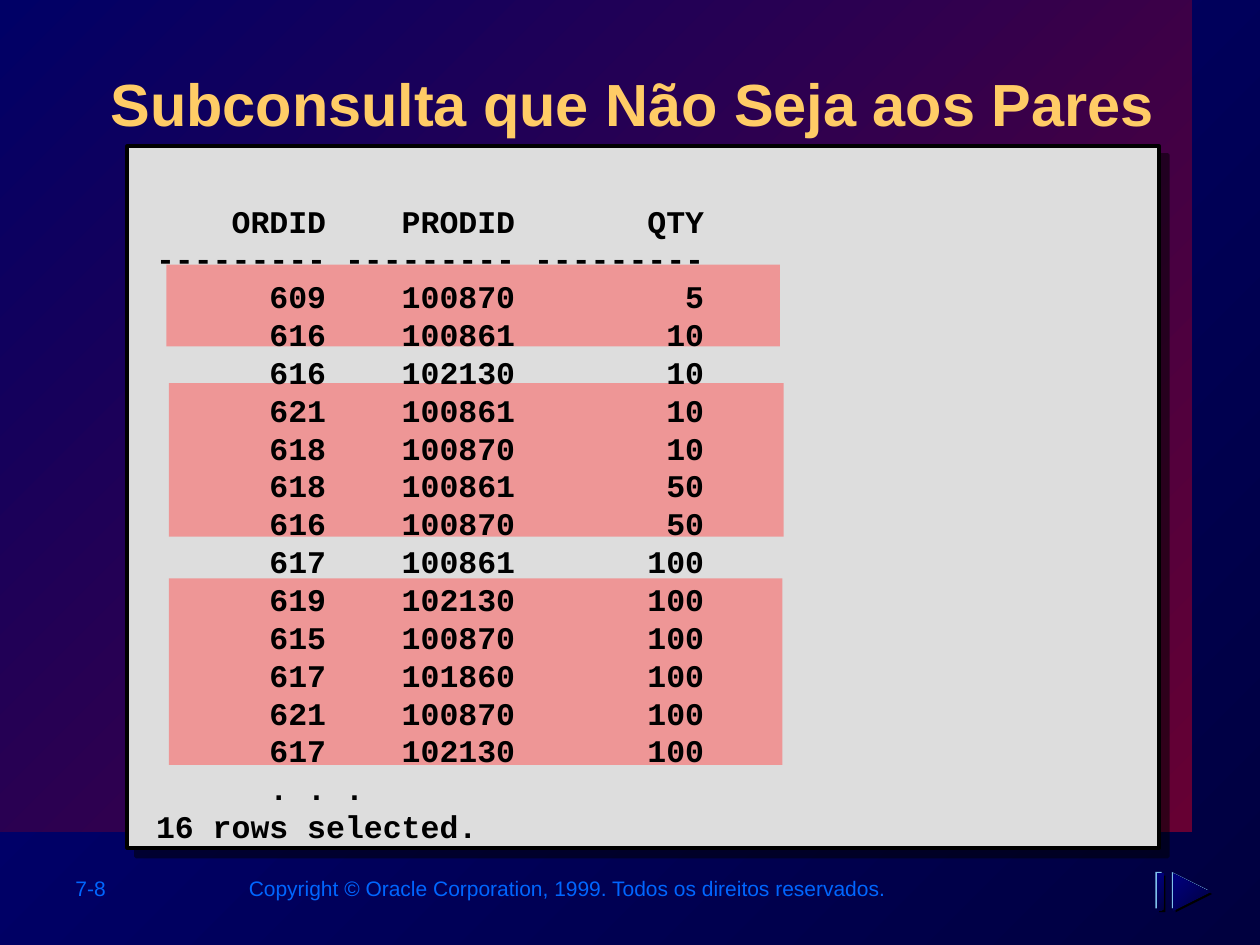
"""Build the slide on non-pairwise subqueries with python-pptx."""
from dataclasses import dataclass
from typing import NamedTuple

from lxml.etree import SubElement
from pptx import Presentation
from pptx.dml.color import RGBColor
from pptx.enum.shapes import MSO_SHAPE as Shape
from pptx.enum.text import MSO_ANCHOR as Anchor, PP_ALIGN as Align
from pptx.oxml.ns import qn
from pptx.util import Emu, Inches, Pt


class Gradient(NamedTuple):
    """Colours from the lower right to the upper left."""
    start: str
    end: str


class Box(NamedTuple):
    """Left, top, width and height in grid columns and rows."""
    col: float
    row: float
    cols: float
    rows: float


class Layer(NamedTuple):
    """One layer of the navigation icon: its grid offset and fill."""
    shift: float
    fill: str | Gradient


@dataclass(frozen=True)
class Theme:
    """Colours, fonts and type sizes of the slide."""
    night: Gradient = Gradient("00003F", "000080")
    wine: Gradient = Gradient("660033", "000066")
    panel: str = "DDDDDD"
    ink: str = "000000"
    title: str = "FFCC66"
    footer: str = "0066FF"
    mark: str = "FF5050"
    glint: str = "7FC1EB"
    sans: str = "Arial"
    mono: str = "Courier New"
    title_size: int = 34
    code_size: int = 18
    footer_size: int = 12
    leading: float = 21.64


THEME = Theme()
COLUMNS, ROWS = 100, 75
CELL = Inches(10) // COLUMNS
TABLE = [
    ("ORDID", "PRODID", "QTY"),
    ("-" * 9,) * 3,
    (609, 100870, 5), (616, 100861, 10), (616, 102130, 10),
    (621, 100861, 10), (618, 100870, 10), (618, 100861, 50),
    (616, 100870, 50), (617, 100861, 100), (619, 102130, 100),
    (615, 100870, 100), (617, 101860, 100), (621, 100870, 100),
    (617, 102130, 100),
]
MARKS = [Box(13.2, 21, 48.7, 6.5), Box(13.4, 30.4, 48.8, 12.2),
         Box(13.4, 45.9, 48.7, 14.8)]
ICON = [Layer(0.3, THEME.ink), Layer(0, THEME.glint), Layer(0.15, THEME.night)]


def cells(n: float) -> Emu:
    """Convert grid cells to a length."""
    return Emu(round(n * CELL))


def paint(fill, colour: str | Gradient) -> None:
    """Apply a solid colour or a diagonal gradient."""
    if isinstance(colour, Gradient):
        fill.gradient()
        fill.gradient_angle = 135
        for stop, value, at in zip(fill.gradient_stops, colour, (0, 1)):
            stop.color.rgb = RGBColor.from_string(value)
            stop.position = at
    else:
        fill.solid()
        fill.fore_color.rgb = RGBColor.from_string(colour)


def add_shadow(props, points: float, alpha: int) -> None:
    """Give a shape or run a hard shadow to the lower right."""
    effects = props.find(qn("a:effectLst"))
    if effects is None:
        effects = SubElement(props, qn("a:effectLst"))
    shadow = SubElement(effects, qn("a:outerShdw"), blurRad="0",
                        dist=str(Pt(points)), dir="2700000", algn="ctr", rotWithShape="0")
    colour = SubElement(shadow, qn("a:srgbClr"), val=THEME.ink)
    SubElement(colour, qn("a:alpha"), val=str(alpha * 1000))


def finish(sp, colour: str | Gradient) -> None:
    """Fill a shape and remove its outline and theme shadow."""
    sp.shadow.inherit = False
    paint(sp.fill, colour)
    sp.line.fill.background()


def add_rect(slide, box: Box, colour: str | Gradient):
    """Add a plain rectangle."""
    sp = slide.shapes.add_shape(Shape.RECTANGLE, *map(cells, box))
    finish(sp, colour)
    return sp


def add_panel(slide, box: Box) -> None:
    """Add the outlined panel with its shadow."""
    sp = add_rect(slide, box, THEME.panel)
    sp.line.color.rgb = RGBColor.from_string(THEME.ink)
    sp.line.width = Pt(2)
    add_shadow(sp._element.spPr, 7.1, 50)


def add_mark(slide, box: Box) -> None:
    """Add a half-transparent highlight."""
    sp = add_rect(slide, box, THEME.mark)
    colour = sp._element.spPr.find(qn("a:solidFill"))[0]
    SubElement(colour, qn("a:alpha"), val="50000")


def add_text(slide, box: Box, lines: list[str], *, size: int, colour: str,
             font: str = THEME.sans, bold: bool = False, align: Align = Align.LEFT,
             leading: float | None = None, wrap: bool = False, shadow: bool = False) -> None:
    """Add a text box with one paragraph per line."""
    tf = slide.shapes.add_textbox(*map(cells, box)).text_frame
    tf.word_wrap = wrap
    tf.vertical_anchor = Anchor.TOP
    for i, line in enumerate(lines):
        p = tf.paragraphs[0] if i == 0 else tf.add_paragraph()
        p.alignment = align
        if leading:
            p.line_spacing = Pt(leading)
        r = p.add_run()
        r.text = line
        r.font.size, r.font.bold = Pt(size), bold
        r.font.color.rgb = RGBColor.from_string(colour)
        if shadow:
            add_shadow(r.font._element, 3, 100)
        r.font.name = font


def add_icon(slide, col: float, row: float) -> None:
    """Add the bar and the triangle, each in three layers."""
    for shift, colour in ICON:
        add_rect(slide, Box(col + shift, row + shift, 0.5, 2.9), colour)
    for shift, colour in ICON:
        x, y = col + 1.3 + shift, row + shift
        builder = slide.shapes.build_freeform(cells(x + 2.9), cells(y + 1.45))
        builder.add_line_segments([(cells(x), cells(y)), (cells(x), cells(y + 2.9))])
        finish(builder.convert_to_shape(), colour)


def main() -> None:
    """Compose and save the slide."""
    prs = Presentation()
    prs.slide_width, prs.slide_height = cells(COLUMNS), cells(ROWS)
    s = prs.slides.add_slide(prs.slide_layouts[6])
    paint(s.background.fill, THEME.night)
    add_rect(s, Box(0, 0, 94.6, 66), THEME.wine)
    footer = {"size": THEME.footer_size, "colour": THEME.footer}
    add_text(s, Box(5, 69, 11.1, 3), ["7-8"], **footer)
    add_text(s, Box(18.4, 69, 52.9, 3),
             ["Copyright © Oracle Corporation, 1999. Todos os direitos reservados."],
             align=Align.RIGHT, **footer)
    add_panel(s, Box(10.1, 11.6, 81.9, 55.7))
    add_text(s, Box(7.5, 4.8, 85.4, 6.5), ["Subconsulta que Não Seja aos Pares"],
             size=THEME.title_size, colour=THEME.title, bold=True,
             align=Align.CENTER, wrap=True, shadow=True)
    for box in MARKS:
        add_mark(s, box)
    lines = [" ".join(f"{value:>9}" for value in row) for row in TABLE]
    add_text(s, Box(11.4, 15.5, 84, 52.1), lines + ["      . . .", "16 rows selected."],
             size=THEME.code_size, colour=THEME.ink, font=THEME.mono, bold=True,
             leading=THEME.leading)
    add_icon(s, 91.7, 69.2)
    prs.save("out.pptx")


if __name__ == "__main__":
    main()
